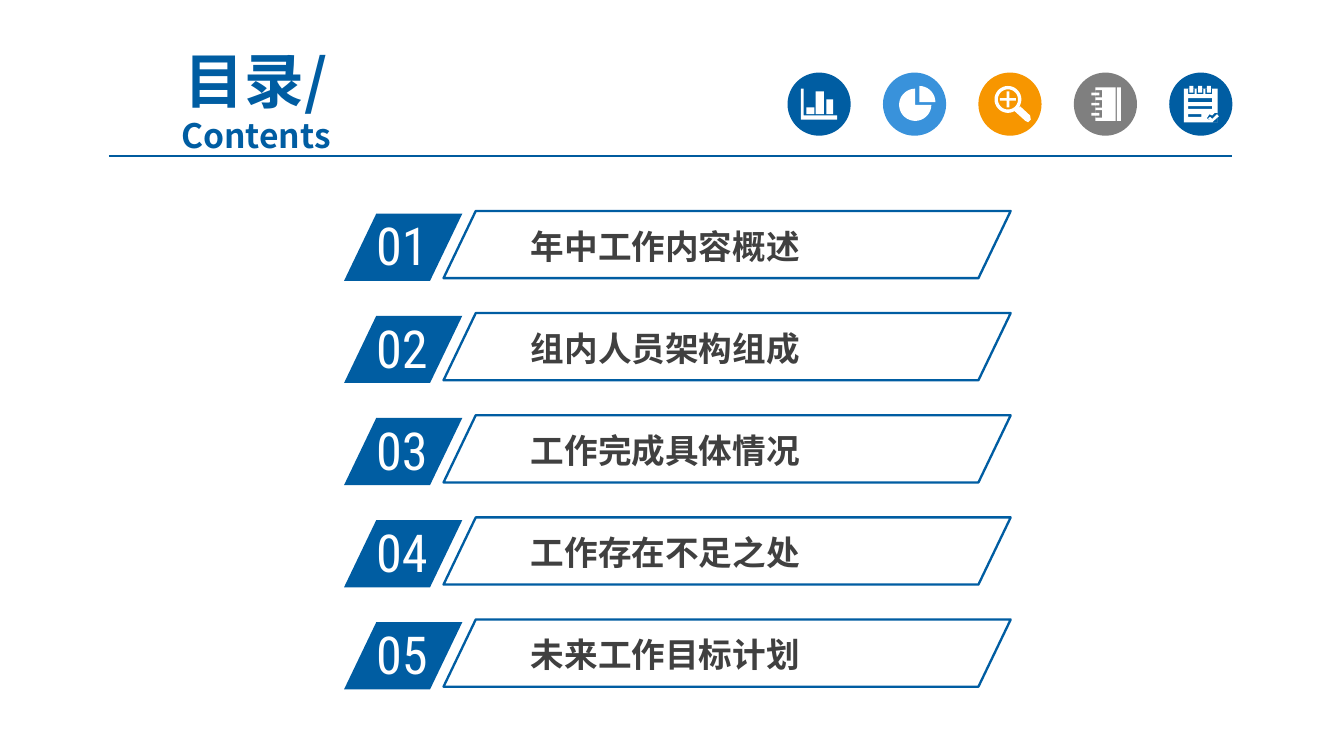
"""Build a contents slide with five numbered agenda entries and an icon strip."""
from dataclasses import dataclass
from math import cos, radians, sin

from lxml import etree
from pptx import Presentation
from pptx.dml.color import RGBColor
from pptx.enum.shapes import MSO_CONNECTOR, MSO_SHAPE
from pptx.enum.text import MSO_ANCHOR, PP_ALIGN
from pptx.oxml.ns import qn
from pptx.util import Inches, Pt

PARALLELOGRAM = MSO_SHAPE.PARALLELOGRAM
OVAL = MSO_SHAPE.OVAL
STRAIGHT = MSO_CONNECTOR.STRAIGHT
MIDDLE = MSO_ANCHOR.MIDDLE
CENTER = PP_ALIGN.CENTER
LEFT = PP_ALIGN.LEFT

BLUE, WHITE, DARK = "005DA2", "FFFFFF", "404040"
CHINESE_FONT, NUMBER_FONT = "Noto Sans CJK SC", "Roboto Condensed"
SLIDE_WIDTH = 10
SLIDE_HEIGHT = SLIDE_WIDTH * 9 / 16
ROW_TOP, ROW_PITCH, ROW_HEIGHT, SLANT = 1.59, 0.76, 0.5, 0.48
ICON_LEFT, ICON_TOP, ICON_PITCH, ICON_SIZE = 5.86, 0.54, 0.71, 0.47

Contour = list[tuple[float, float]]


@dataclass
class Box:
    left: float
    top: float
    width: float
    height: float

    def lengths(self) -> tuple:
        return tuple(Inches(v) for v in (self.left, self.top, self.width, self.height))


@dataclass
class TextStyle:
    size: float
    font: str
    color: str
    bold: bool = False
    align: PP_ALIGN = LEFT


@dataclass
class Icon:
    color: str
    contours: list[Contour]


def rgb(color: str) -> RGBColor:
    return RGBColor.from_string(color)


def rect(left: float, top: float, right: float, bottom: float) -> Contour:
    return [(left, top), (right, top), (right, bottom), (left, bottom)]


def arc(x: float, y: float, radius: float, start: int = 0, end: int = 360) -> Contour:
    return [(x + radius * cos(radians(a)), y + radius * sin(radians(a)))
            for a in range(start, end + 1, 10)]


def add_preset(shapes, kind, box: Box, fill: str = "", line: str = ""):
    shape = shapes.add_shape(kind, *box.lengths())
    shape.shadow.inherit = False
    if fill:
        shape.fill.solid()
        shape.fill.fore_color.rgb = rgb(fill)
    else:
        shape.fill.background()
    if line:
        shape.line.color.rgb = rgb(line)
        shape.line.width = Pt(1.25)
    else:
        shape.line.fill.background()
    return shape


def add_slanted(shapes, box: Box, fill: str = "", line: str = "") -> None:
    add_preset(shapes, PARALLELOGRAM, box, fill, line).adjustments[0] = SLANT


def style_paragraph(paragraph, text: str, style: TextStyle) -> None:
    paragraph.text = text
    paragraph.alignment = style.align
    font = paragraph.font
    font.size, font.bold, font.name = Pt(style.size), style.bold, style.font
    font.color.rgb = rgb(style.color)
    defaults = paragraph._p.pPr.find(qn("a:defRPr"))
    etree.SubElement(defaults, qn("a:ea")).set("typeface", style.font)


def add_text(shapes, box: Box, lines: list[tuple[str, TextStyle]],
             inset_x: float = 0.1, inset_y: float = 0.05):
    frame = shapes.add_textbox(*box.lengths()).text_frame
    frame.word_wrap = True
    frame.margin_left = frame.margin_right = Inches(inset_x)
    frame.margin_top = frame.margin_bottom = Inches(inset_y)
    for index, (text, style) in enumerate(lines):
        paragraph = frame.add_paragraph() if index else frame.paragraphs[0]
        style_paragraph(paragraph, text, style)
    return frame


def add_icon(shapes, icon: Icon, left: float) -> None:
    add_preset(shapes, OVAL, Box(left, ICON_TOP, ICON_SIZE, ICON_SIZE), icon.color)
    outlines = [[(Inches(left + x / 100), Inches(ICON_TOP + y / 100)) for x, y in contour]
                for contour in icon.contours]
    builder = shapes.build_freeform(*outlines[0][0])
    builder.add_line_segments(outlines[0][1:], close=True)
    for outline in outlines[1:]:
        builder.move_to(*outline[0])
        builder.add_line_segments(outline[1:], close=True)
    glyph = builder.convert_to_shape()
    glyph.shadow.inherit = False
    glyph.fill.solid()
    glyph.fill.fore_color.rgb = rgb(WHITE)
    glyph.line.fill.background()


def add_rule(shapes) -> None:
    rule = shapes.add_connector(STRAIGHT, Inches(0.81), Inches(1.16), Inches(9.17), Inches(1.16))
    rule.line.color.rgb = rgb("005B9E")
    rule.line.width = Pt(0.75)
    etree.SubElement(rule._element.spPr, qn("a:effectLst"))


ENTRIES = ["年中工作内容概述", "组内人员架构组成", "工作完成具体情况", "工作存在不足之处", "未来工作目标计划"]

BAR_CHART = [[(10, 12), (12, 12), (12, 32), (37, 32), (37, 35), (10, 35)],
             rect(14, 26, 20, 31), rect(21, 14, 27, 31), rect(29, 20, 34, 31)]
PIE = [[(24, 24)] + arc(24, 24, 12, 0, 270), [(27, 22)] + arc(27, 22, 12, 270, 360)]
MAGNIFIER = [arc(22, 20, 10), arc(22, 20, 7.5),
             rect(16, 19, 28, 21), rect(21, 14, 23, 19), rect(21, 21, 23, 26),
             [(27.2, 29), (31.2, 25.2), (38.5, 32), (39, 35), (37, 37), (35, 36)]]
NOTEBOOK = [rect(32, 11, 35, 36), rect(16, 11, 31, 36)]
for ring_top in (13, 20.5, 28):
    NOTEBOOK += [rect(16, ring_top, 21, ring_top + 5.5),
                 rect(13, ring_top + 2, 19, ring_top + 4)]
CHECKLIST = [rect(11, 12, 36, 37), rect(14, 19, 32, 22), rect(14, 25, 32, 27),
             rect(14, 31, 24, 33),
             [(28, 34), (30, 31), (32, 32), (34, 30), (36, 30), (36, 37), (32, 37)],
             [(29, 34), (30.5, 33), (32, 34.5), (35.5, 31), (37, 32.5), (32, 37)]]
for pin_left in (14, 20.5, 27):
    CHECKLIST += [rect(pin_left, 12, pin_left + 5, 16),
                  rect(pin_left + 1, 10, pin_left + 4, 15)]

ICONS = [Icon(BLUE, BAR_CHART), Icon("3992DB", PIE), Icon("F79600", MAGNIFIER),
         Icon("7F7F7F", NOTEBOOK), Icon(BLUE, CHECKLIST)]


def main() -> None:
    deck = Presentation()
    deck.slide_width, deck.slide_height = Inches(SLIDE_WIDTH), Inches(SLIDE_HEIGHT)
    shapes = deck.slides.add_slide(deck.slide_layouts[6]).shapes

    heading = add_text(shapes, Box(0.67, 0.47, 2.47, 0.54), [
        ("目录/", TextStyle(32, CHINESE_FONT, BLUE, True, CENTER)),
        ("Contents", TextStyle(18, CHINESE_FONT, BLUE, True, CENTER))])
    heading.vertical_anchor = MIDDLE
    add_rule(shapes)

    number_style = TextStyle(28, NUMBER_FONT, WHITE)
    entry_style = TextStyle(18, CHINESE_FONT, DARK, True)
    for index, entry in enumerate(ENTRIES):
        top = ROW_TOP + index * ROW_PITCH
        add_slanted(shapes, Box(2.56, top, 0.88, ROW_HEIGHT), fill=BLUE)
        add_text(shapes, Box(2.7, top - 0.05, 0.84, 0.49), [(f"{index + 1:02}", number_style)])
        add_text(shapes, Box(3.88, top + 0.05, 3.09, 0.38), [(entry, entry_style)], 0.07, 0.04)
        add_slanted(shapes, Box(3.3, top - 0.02, 4.22, ROW_HEIGHT), line=BLUE)

    for index, icon in enumerate(ICONS):
        add_icon(shapes, icon, ICON_LEFT + index * ICON_PITCH)

    deck.save("out.pptx")


if __name__ == "__main__":
    main()
